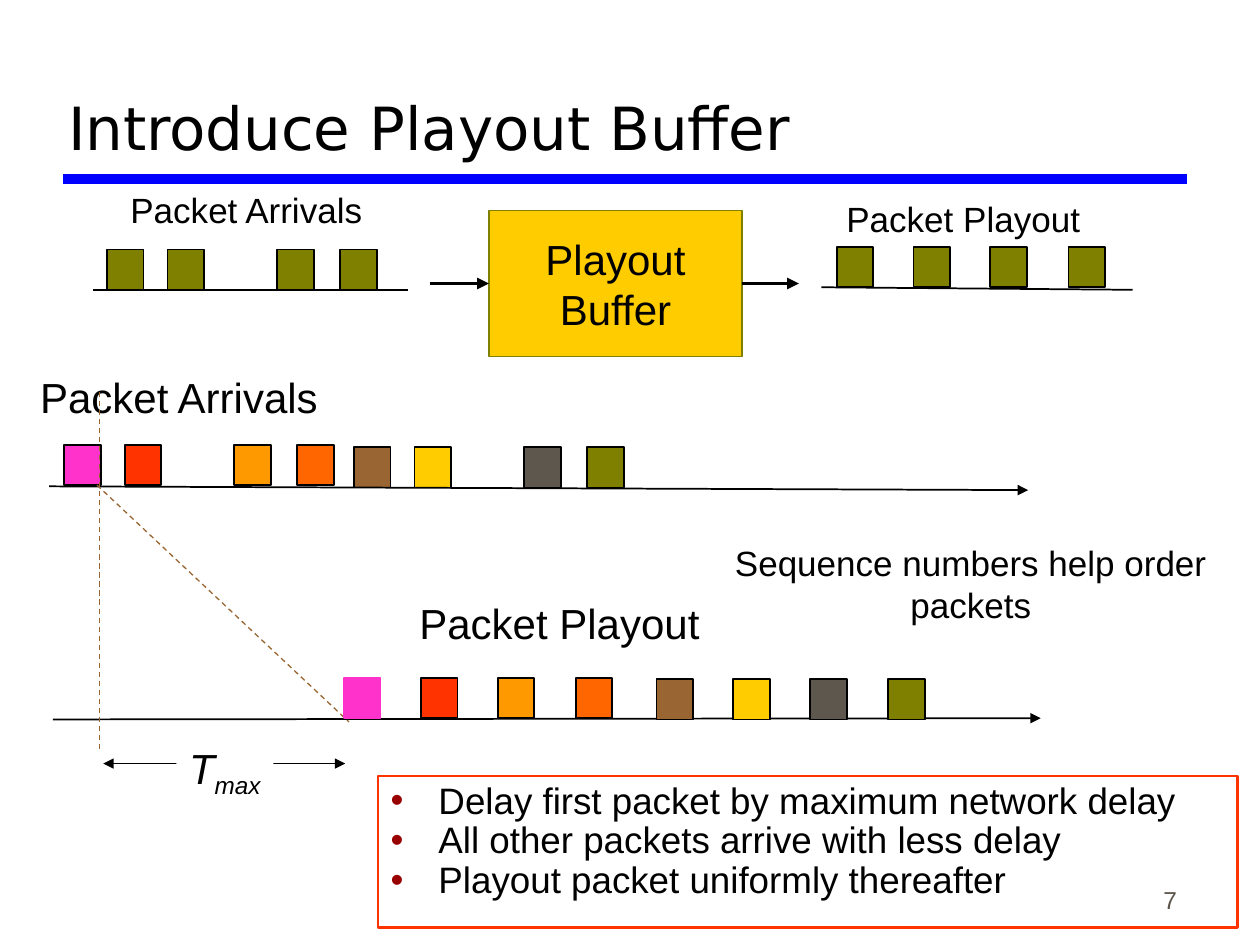
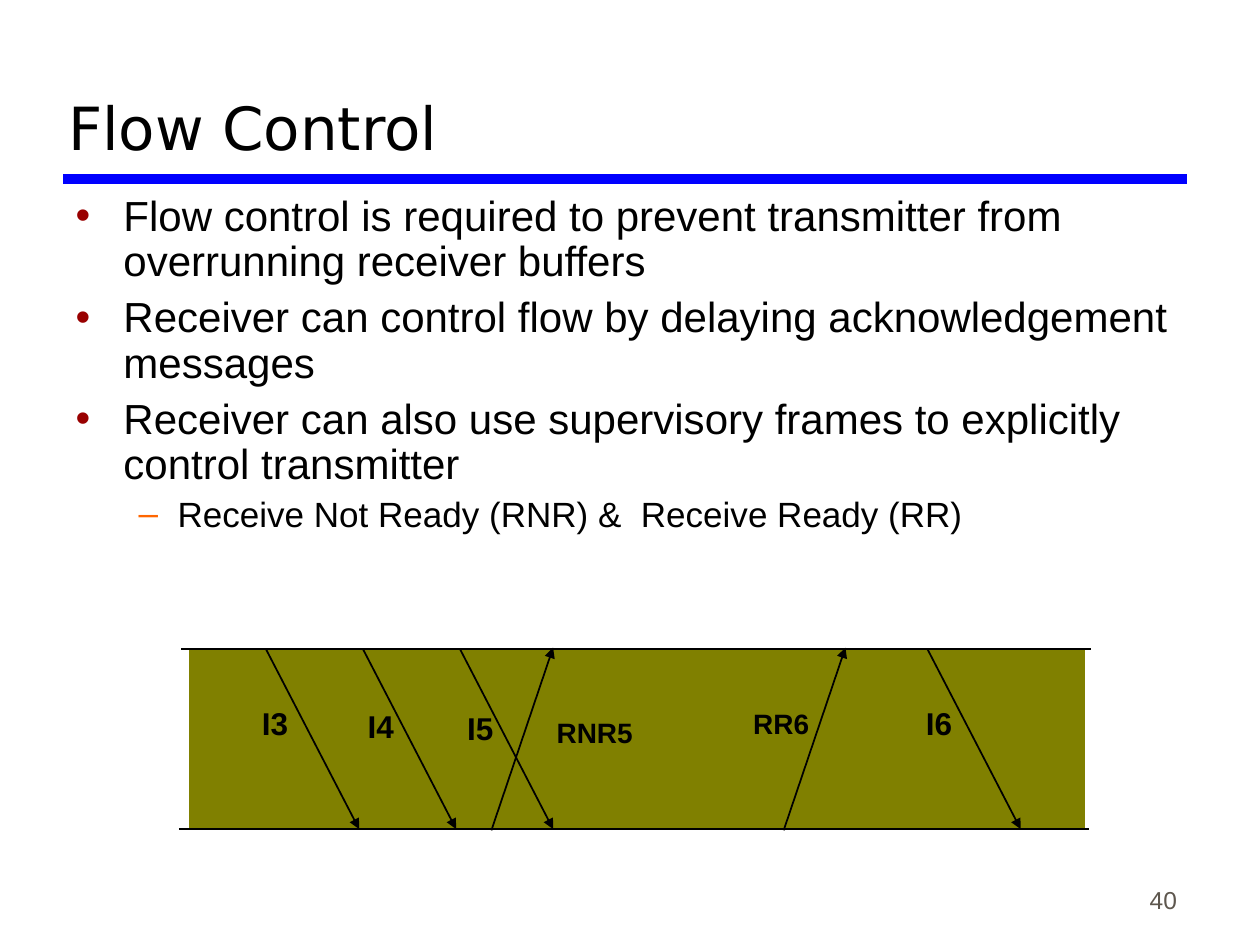
from lxml import etree
from pptx import Presentation
from pptx.dml.color import RGBColor
from pptx.enum.dml import MSO_LINE
from pptx.enum.shapes import MSO_CONNECTOR, MSO_SHAPE
from pptx.enum.text import MSO_ANCHOR, MSO_AUTO_SIZE, PP_ALIGN
from pptx.oxml.ns import qn
from pptx.util import Pt

PX = 9144
STRAIGHT = MSO_CONNECTOR.STRAIGHT
RECT = MSO_SHAPE.RECTANGLE
DASH = MSO_LINE.DASH
LEFT, CENTER, RIGHT = PP_ALIGN.LEFT, PP_ALIGN.CENTER, PP_ALIGN.RIGHT
TOP, MIDDLE, BOTTOM = MSO_ANCHOR.TOP, MSO_ANCHOR.MIDDLE, MSO_ANCHOR.BOTTOM
NO_AUTOFIT = MSO_AUTO_SIZE.NONE

BLACK = RGBColor(0x00, 0x00, 0x00)
WHITE = RGBColor(0xFF, 0xFF, 0xFF)
BLUE = RGBColor(0x00, 0x00, 0xFF)
GRAY = RGBColor(0x5E, 0x57, 0x4E)
OLIVE = RGBColor(0x80, 0x80, 0x00)
YELLOW = RGBColor(0xFF, 0xCC, 0x00)
PINK = RGBColor(0xFF, 0x33, 0xCC)
RED = RGBColor(0xFF, 0x33, 0x00)
AMBER = RGBColor(0xFF, 0x99, 0x00)
ORANGE = RGBColor(0xFF, 0x66, 0x00)
BROWN = RGBColor(0x99, 0x66, 0x33)
MAROON = RGBColor(0x99, 0x00, 0x00)

BODY_FONT = "Arial"
TITLE_FONT = "DejaVu Sans"
PACKET_W, PACKET_H = 29, 32
ARRIVAL_STEPS = (0, 48, 135, 185)
PLAYOUT_STEPS = (0, 61, 122, 184)
FIRST_COLORS = (PINK, RED, AMBER, ORANGE)
LAST_COLORS = (BROWN, YELLOW, GRAY, OLIVE)
BULLETS = (
    dict(char="•", color=MAROON, margin=38, indent=-38),
    dict(char="–", color=ORANGE, margin=81, indent=-31),
)


def emu(*lengths):
    return [n * PX for n in lengths]


def write(p, text, size=24, font=BODY_FONT, color=BLACK, bold=False,
          italic=False, align=None, baseline=None):
    r = p.add_run()
    r.text = text
    r.font.size = Pt(size)
    r.font.name = font
    r.font.color.rgb = color
    r.font.bold = bold
    r.font.italic = italic
    if align is not None:
        p.alignment = align
    if baseline is not None:
        r.font._element.set("baseline", str(baseline * 1000))


def add_label(s, x, y, w, h, text, wrap=False, anchor=TOP, **fmt):
    tf = s.shapes.add_textbox(*emu(x, y, w, h)).text_frame
    tf.word_wrap = wrap
    tf.vertical_anchor = anchor
    write(tf.paragraphs[0], text, **fmt)


def add_box(s, x, y, w, h, fill, line=None, width=1):
    sp = s.shapes.add_shape(RECT, *emu(x, y, w, h))
    sp.shadow.inherit = False
    sp.fill.solid()
    sp.fill.fore_color.rgb = fill
    if line is None:
        sp.line.fill.background()
    else:
        sp.line.color.rgb = line
        sp.line.width = Pt(width)
    return sp


def add_line(s, x1, y1, x2, y2, color=BLACK, width=1, dash=None,
             head=False, tail=False):
    c = s.shapes.add_connector(STRAIGHT, *emu(x1, y1, x2, y2))
    c.line.color.rgb = color
    c.line.width = Pt(width)
    if dash is not None:
        c.line.dash_style = dash
    ln = c.line._get_or_add_ln()
    for wanted, tag in ((head, "a:headEnd"), (tail, "a:tailEnd")):
        if wanted:
            etree.SubElement(ln, qn(tag), type="triangle")
    etree.SubElement(c._element.spPr, qn("a:effectLst"))
    return c


def set_bullet(p, char, color, margin, indent):
    pPr = p._p.get_or_add_pPr()
    pPr.set("marL", str(margin * PX))
    pPr.set("indent", str(indent * PX))
    clr = etree.SubElement(pPr, qn("a:buClr"))
    etree.SubElement(clr, qn("a:srgbClr"), val=str(color))
    etree.SubElement(pPr, qn("a:buChar"), char=char)


def place(sp, x, y, w, h, anchor):
    sp.left, sp.top, sp.width, sp.height = emu(x, y, w, h)
    tf = sp.text_frame
    tf.auto_size = NO_AUTOFIT
    tf.word_wrap = True
    tf.vertical_anchor = anchor
    return tf


def add_slide(prs, title, number):
    s = prs.slides.add_slide(prs.slide_layouts[1])
    add_line(s, 50, 142, 942, 142, color=BLUE, width=6)
    tf = place(s.shapes.title, 44, 17, 897, 117, BOTTOM)
    write(tf.paragraphs[0], title, size=34, font=TITLE_FONT, align=LEFT)
    add_label(s, 736, 681, 208, 50, number, wrap=True, anchor=BOTTOM,
              size=14, color=GRAY, align=RIGHT)
    return s


def fill_body(s, x, y, w, h, items, before=(0, 0)):
    sp = s.placeholders[1]
    tf = place(sp, x, y, w, h, TOP)
    for i, (level, size, text) in enumerate(items):
        p = tf.paragraphs[0] if i == 0 else tf.add_paragraph()
        p.level = level
        p.line_spacing = 0.9
        p.space_before = Pt(before[level])
        set_bullet(p, **BULLETS[level])
        write(p, text, size=size, align=LEFT)
    return sp


def packet_group(s, x, y, steps, colors, lines=(BLACK,) * 4):
    for step, color, line in zip(steps, colors, lines):
        add_box(s, x + step, y, PACKET_W, PACKET_H, color, line)


def buffer_overview(s, x, y):
    olive = (OLIVE,) * 4
    packet_group(s, x + 11, y + 53, ARRIVAL_STEPS, olive)
    add_line(s, x, y + 85, x + 250, y + 85)
    add_label(s, x + 1, y, 241, 44, "Packet Arrivals", size=20, align=CENTER)

    box = add_box(s, x + 314, y + 22, 201, 116, YELLOW, OLIVE, 0.75)
    tf = box.text_frame
    tf.word_wrap = False
    tf.vertical_anchor = MIDDLE
    write(tf.paragraphs[0], "Playout", align=CENTER)
    write(tf.add_paragraph(), "Buffer", align=CENTER)
    mid = y + 80
    inflow = add_line(s, x + 267, mid, x + 314, mid, width=2.25, tail=True)
    inflow.end_connect(box, 1)
    outflow = add_line(s, x + 515, mid, x + 560, mid, width=2.25, tail=True)
    outflow.begin_connect(box, 3)

    packet_group(s, x + 590, y + 51, PLAYOUT_STEPS, olive)
    add_line(s, x + 578, y + 83, x + 825, y + 85)
    add_label(s, x + 570, y + 7, 241, 44, "Packet Playout", size=20,
              align=CENTER)


def playout_timeline(s, x, y):
    packet_group(s, x + 30, y + 63, ARRIVAL_STEPS, FIRST_COLORS)
    packet_group(s, x + 260, y + 65, ARRIVAL_STEPS, LAST_COLORS)
    add_line(s, x + 18, y + 96, x + 795, y + 99, tail=True)
    add_label(s, x - 10, y, 262, 50, "Packet Arrivals", align=CENTER)

    add_line(s, x + 21, y + 281, x + 805, y + 280, tail=True)
    add_label(s, x + 292, y + 179, 262, 50, "Packet Playout", align=CENTER)
    add_line(s, x + 58, y + 21, x + 58, y + 306, BROWN, 0.75, DASH)
    add_line(s, x + 56, y + 95, x + 256, y + 283, BROWN, 0.75, DASH)
    packet_group(s, x + 252, y + 248, PLAYOUT_STEPS, FIRST_COLORS,
                 (PINK, BLACK, BLACK, BLACK))
    packet_group(s, x + 500, y + 249, PLAYOUT_STEPS, LAST_COLORS)

    add_line(s, x + 61, y + 316, x + 253, y + 316, width=0.75,
             head=True, tail=True)
    tf = add_box(s, x + 119, y + 294, 77, 56, WHITE).text_frame
    tf.word_wrap = False
    tf.vertical_anchor = TOP
    p = tf.paragraphs[0]
    write(p, "T", italic=True, align=CENTER)
    write(p, "max", italic=True, baseline=-25)
    add_label(s, x + 546, y + 135, 407, 77,
              "Sequence numbers help order packets", wrap=True, size=20,
              align=CENTER)


def frame_exchange(s, x, y, w, h):
    add_box(s, x, y, w, h, OLIVE)
    add_line(s, x - 6, y, x + w + 5, y)
    add_line(s, x - 8, y + h, x + w + 3, y + h)
    for dx in (61, 138, 215, 586):
        add_line(s, x + dx, y, x + dx + 74, y + h, tail=True)
    for dx in (240, 472):
        add_line(s, x + dx, y + h + 1, x + dx + 49, y - 1, tail=True)
    labels = (
        ("I3", 48, 39, 41, 18), ("I4", 132, 41, 41, 18),
        ("I5", 211, 43, 41, 18), ("I6", 575, 39, 41, 18),
        ("RNR5", 282, 48, 80, 16), ("RR6", 438, 41, 64, 16),
    )
    for text, dx, dy, width, size in labels:
        add_label(s, x + dx, y + dy, width, 2 * size + 4, text, size=size,
                  bold=True)


def playout_slide(prs):
    s = add_slide(prs, "Introduce Playout Buffer", "7")
    buffer_overview(s, 74, 145)
    body = fill_body(s, 300, 616, 682, 120, (
        (0, 21, "Delay first packet by maximum network delay"),
        (0, 21, "All other packets arrive with less delay"),
        (0, 21, "Playout packet uniformly thereafter"),
    ))
    body.line.color.rgb = RED
    body.line.width = Pt(1.5)
    playout_timeline(s, 21, 290)


def flow_control_slide(prs):
    s = add_slide(prs, "Flow Control", "40")
    frame_exchange(s, 150, 515, 711, 143)
    fill_body(s, 50, 150, 894, 309, (
        (0, 24, "Flow control is required to prevent transmitter from "
                "overrunning receiver buffers"),
        (0, 24, "Receiver can control flow by delaying acknowledgement "
                "messages"),
        (0, 24, "Receiver can also use supervisory frames to explicitly "
                "control transmitter"),
        (1, 20, "Receive Not Ready (RNR) &  Receive Ready (RR)"),
    ), before=(6, 5))


def main():
    prs = Presentation()
    prs.slide_width, prs.slide_height = emu(1000, 750)
    playout_slide(prs)
    flow_control_slide(prs)
    prs.save("out.pptx")


if __name__ == "__main__":
    main()
